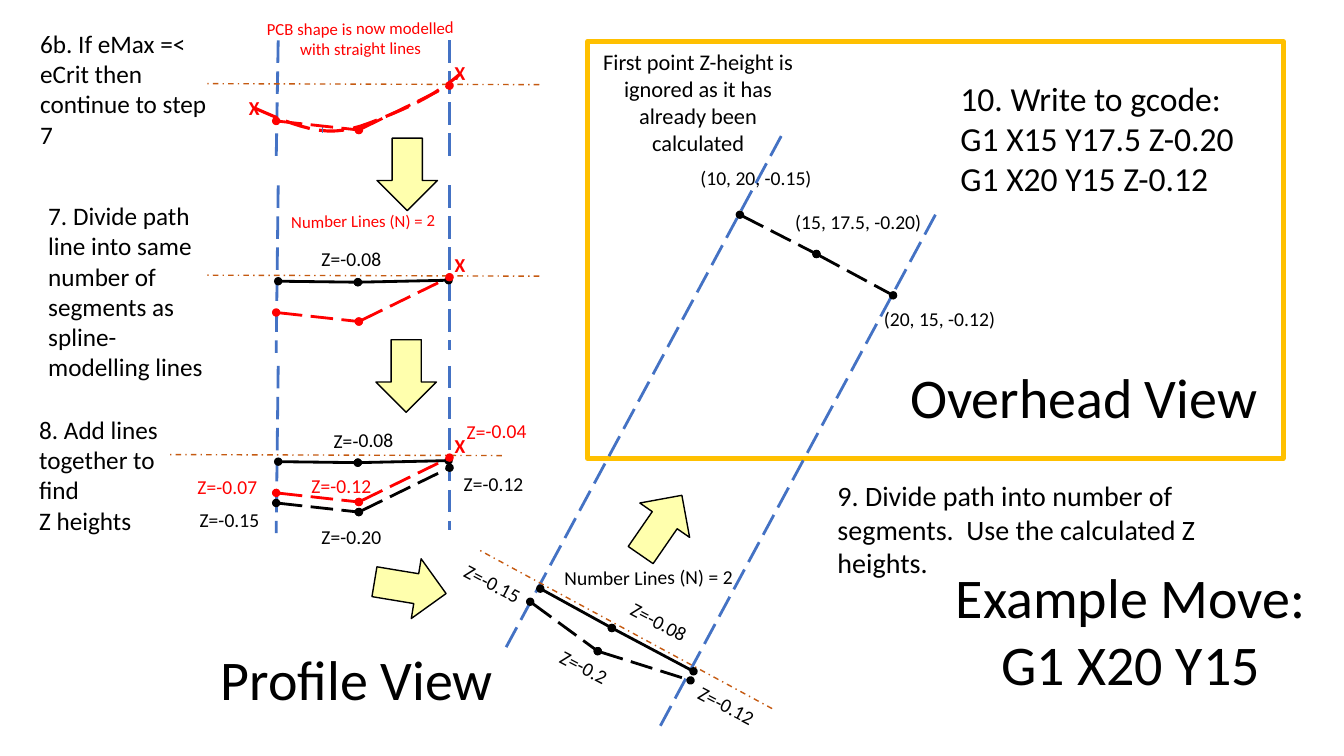
"""Build the slide that explains how Z heights are added to a straight G-code move."""
from lxml import etree
from pptx import Presentation
from pptx.dml.color import RGBColor
from pptx.enum.dml import MSO_LINE
from pptx.enum.shapes import MSO_CONNECTOR, MSO_SHAPE
from pptx.enum.text import MSO_AUTO_SIZE, PP_ALIGN
from pptx.oxml.ns import qn
from pptx.util import Cm, Pt

SOLID, LONG_DASH, DASH_DOT = MSO_LINE.SOLID, MSO_LINE.LONG_DASH, MSO_LINE.DASH_DOT
STRAIGHT = MSO_CONNECTOR.STRAIGHT
RECTANGLE, LEFT_ARROW = MSO_SHAPE.RECTANGLE, MSO_SHAPE.LEFT_ARROW
GROW = MSO_AUTO_SIZE.SHAPE_TO_FIT_TEXT
LEFT, CENTER = PP_ALIGN.LEFT, PP_ALIGN.CENTER
UNIT = 2.54
TILT, SLOPE = -0.6, 27.6

THEME = {
    "font": "Calibri",
    "black": RGBColor(0, 0, 0),
    "red": RGBColor(0xFF, 0, 0),
    "blue": RGBColor(0x44, 0x72, 0xC4),
    "orange": RGBColor(0xC5, 0x5A, 0x11),
    "gold": RGBColor(0xFF, 0xC0, 0),
    "yellow": RGBColor(0xFF, 0xFF, 0),
    "title": 40, "code": 24, "wide_step": 20, "step": 18, "remark": 16, "value": 14, "note": 12,
    "guide": ("blue", 2, LONG_DASH, False),
    "tick": ("blue", 0.5, SOLID, False),
    "level": ("orange", 1, DASH_DOT, False),
    "path": ("black", 2, SOLID, True),
    "result": ("black", 2, LONG_DASH, True),
    "spline": ("red", 2, LONG_DASH, True),
}

deck = Presentation()
deck.slide_width, deck.slide_height = Cm(13.333 * UNIT), Cm(7.5 * UNIT)
shapes = deck.slides.add_slide(deck.slide_layouts[6]).shapes


def trace(style, *points):
    """Join the points with one connector per segment."""
    colour, width, dash, dotted = THEME[style]
    for start, end in zip(points, points[1:]):
        segment = shapes.add_connector(STRAIGHT, *(Cm(v * UNIT) for v in start + end))
        segment.line.color.rgb = THEME[colour]
        segment.line.width = Pt(width)
        segment.line.dash_style = dash
        if dotted:
            for tip in ("a:headEnd", "a:tailEnd"):
                etree.SubElement(segment.line._get_or_add_ln(), qn(tip), type="oval")
        etree.SubElement(segment._element.spPr, qn("a:effectLst"))


def write(text, box, size, colour="black", rotation=0, align=LEFT, bold=False):
    """Place wrapped text in a box."""
    label = shapes.add_textbox(*(Cm(v * UNIT) for v in box))
    label.rotation = rotation
    frame = label.text_frame
    frame.word_wrap = True
    frame.auto_size = GROW
    frame.text = text
    for paragraph in frame.paragraphs:
        paragraph.alignment = align
        for run in paragraph.runs:
            run.font.name = THEME["font"]
            run.font.size = Pt(THEME[size])
            run.font.color.rgb = THEME[colour]
            run.font.bold = bold


overhead_frame = shapes.add_shape(RECTANGLE, *(Cm(v * UNIT) for v in (5.83, 0.41, 6.9, 4.14)))
overhead_frame.shadow.inherit = False
overhead_frame.fill.background()
overhead_frame.line.color.rgb = THEME["gold"]
overhead_frame.line.width = Pt(3.5)

for top, bottom in (((7.75, 1.35), (5, 6.46)), ((9.28, 2.13), (6.53, 7.24))):
    trace("guide", top, bottom)
trace("result", (7.34, 2.13), (8.1, 2.52), (8.86, 2.93))
trace("level", (7.66, 7.03), (4.76, 5.46))
trace("path", (5.36, 5.84), (6.07, 6.23), (6.88, 6.66))
trace("result", (5.26, 5.97), (5.93, 6.46), (6.85, 6.75))

stages = [
    (0.4, 1.6, 1.56, 0.84, 2.05),
    (1.84, 3.5, 3.47, 2.74, 2.05),
    (3.63, 5.29, 5.26, 4.52, 1.68),
]
for top, left_end, right_end, level, level_left in stages:
    trace("guide", (2.76, top), (2.74, left_end))
    trace("guide", (4.46, top), (4.46, right_end))
    trace("level", (level_left + 3.3, level), (level_left, level - 0.01))

bend = [
    ((2.52, 1.07), (2.77, 1.18), (3.02, 1.29), (3.25, 1.3)),
    ((3.25, 1.3), (3.48, 1.31), (3.67, 1.22), (3.89, 1.13)),
    ((3.89, 1.13), (4.11, 1.04), (4.35, 0.92), (4.57, 0.73)),
]
steps = 8
bend_points = []
for a, b, c, d in bend:
    for t in (i / steps for i in range(1, steps + 1)):
        u = 1 - t
        bend_points.append(tuple(
            Cm(UNIT * (u**3 * a[k] + 3 * u * u * t * b[k] + 3 * u * t * t * c[k] + t**3 * d[k]))
            for k in (0, 1)))
outline = shapes.build_freeform(Cm(2.52 * UNIT), Cm(1.07 * UNIT))
outline.add_line_segments(bend_points, close=False)
board_curve = outline.convert_to_shape()
board_curve.shadow.inherit = False
board_curve.fill.background()
board_curve.line.color.rgb = THEME["red"]
board_curve.line.width = Pt(2.25)
board_curve.line.dash_style = LONG_DASH

trace("tick", (3.2, 1.26), (3.2, 1.32))
for level in (2.79, 4.58):
    trace("path", (2.76, level), (3.55, level + 0.01), (4.45, level - 0.01))
for style, start in (("spline", 1.2), ("spline", 3.1), ("spline", 4.89), ("result", 4.99)):
    trace(style, (2.74, start), (3.56, start + 0.09), (4.46, start - 0.35))

for left, top, rotation in ((3.68, 1.43, 270), (3.67, 3.43, 270), (3.71, 5.53, 189.4),
                            (6.2, 4.91, 124.6)):
    arrow = shapes.add_shape(LEFT_ARROW, *(Cm(v * UNIT) for v in (left, top, 0.72, 0.6)))
    arrow.rotation = rotation
    arrow.shadow.inherit = False
    arrow.fill.solid()
    arrow.fill.fore_color.rgb = THEME["yellow"]
    tint = arrow._element.spPr.find(qn("a:solidFill"))[0]
    etree.SubElement(tint, qn("a:alpha"), val="32000")
    arrow.line.color.rgb = THEME["black"]
    arrow.line.width = Pt(1)

for text, box, size in (
    ("Overhead View", (8.93, 3.55, 3.7, 0.77), "title"),
    ("Profile View", (2.09, 6.34, 3.2, 0.77), "title"),
    ("6b. If eMax =< eCrit then continue to step 7", (0.3, 0.23, 1.91, 1.31), "step"),
    ("7. Divide path line into same number of segments as spline-modelling lines",
     (0.38, 1.94, 1.88, 1.92), "step"),
    ("8. Add lines together to find\nZ heights", (0.29, 4.06, 1.6, 1.31), "step"),
    ("9. Divide path into number of segments.  Use the calculated Z heights.",
     (8.21, 4.7, 4.25, 1.11), "wide_step"),
    ("10. Write to gcode:\nG1 X15 Y17.5 Z-0.20\nG1 X20 Y15 Z-0.12",
     (9.43, 0.72, 4.25, 1.31), "code"),
    ("(10, 20, -0.15)", (6.85, 1.6, 1.36, 0.34), "value"),
    ("(15, 17.5, -0.20)", (7.79, 2.03, 1.52, 0.34), "value"),
    ("(20, 15, -0.12)", (8.67, 3, 1.52, 0.34), "value"),
):
    write(text, box, size)

write("Example Move: G1 X20 Y15", (9.02, 5.53, 4.39, 1.45), "title", align=CENTER)
write("First point Z-height is ignored as it has already been calculated",
      (5.83, 0.43, 2.19, 1.18), "remark", align=CENTER)
write("PCB shape is now modelled with straight lines",
      (2.54, 0.13, 2.07, 0.5), "note", "red", TILT, CENTER)
write("Number Lines (N) = 2", (2.79, 2.04, 2.06, 0.3), "note", "red", TILT)
write("Number Lines (N) = 2", (5.5, 5.56, 2.06, 0.34), "value", rotation=TILT)

for left, top in ((2.37, 0.9), (4.41, 0.55), (4.41, 2.46), (4.41, 4.25)):
    write("X", (left, top, 0.32, 0.34), "value", "red", TILT, bold=True)

for height, left, top, colour, rotation in (
    ("-0.08", 3.09, 2.4, "black", TILT),
    ("-0.08", 3.21, 4.2, "black", TILT),
    ("-0.07", 1.86, 4.66, "red", TILT),
    ("-0.12", 2.99, 4.65, "red", TILT),
    ("-0.04", 4.53, 4.11, "red", TILT),
    ("-0.15", 1.88, 4.99, "black", TILT),
    ("-0.20", 3.09, 5.16, "black", TILT),
    ("-0.12", 4.5, 4.63, "black", TILT),
    ("-0.08", 6.14, 6.01, "black", SLOPE),
    ("-0.15", 4.49, 5.63, "black", SLOPE),
    ("-0.2", 5.44, 6.48, "black", SLOPE),
    ("-0.12", 6.81, 6.84, "black", SLOPE),
):
    write(f"Z={height}", (left, top, 0.83, 0.34), "value", colour, rotation)

deck.save("out.pptx")
